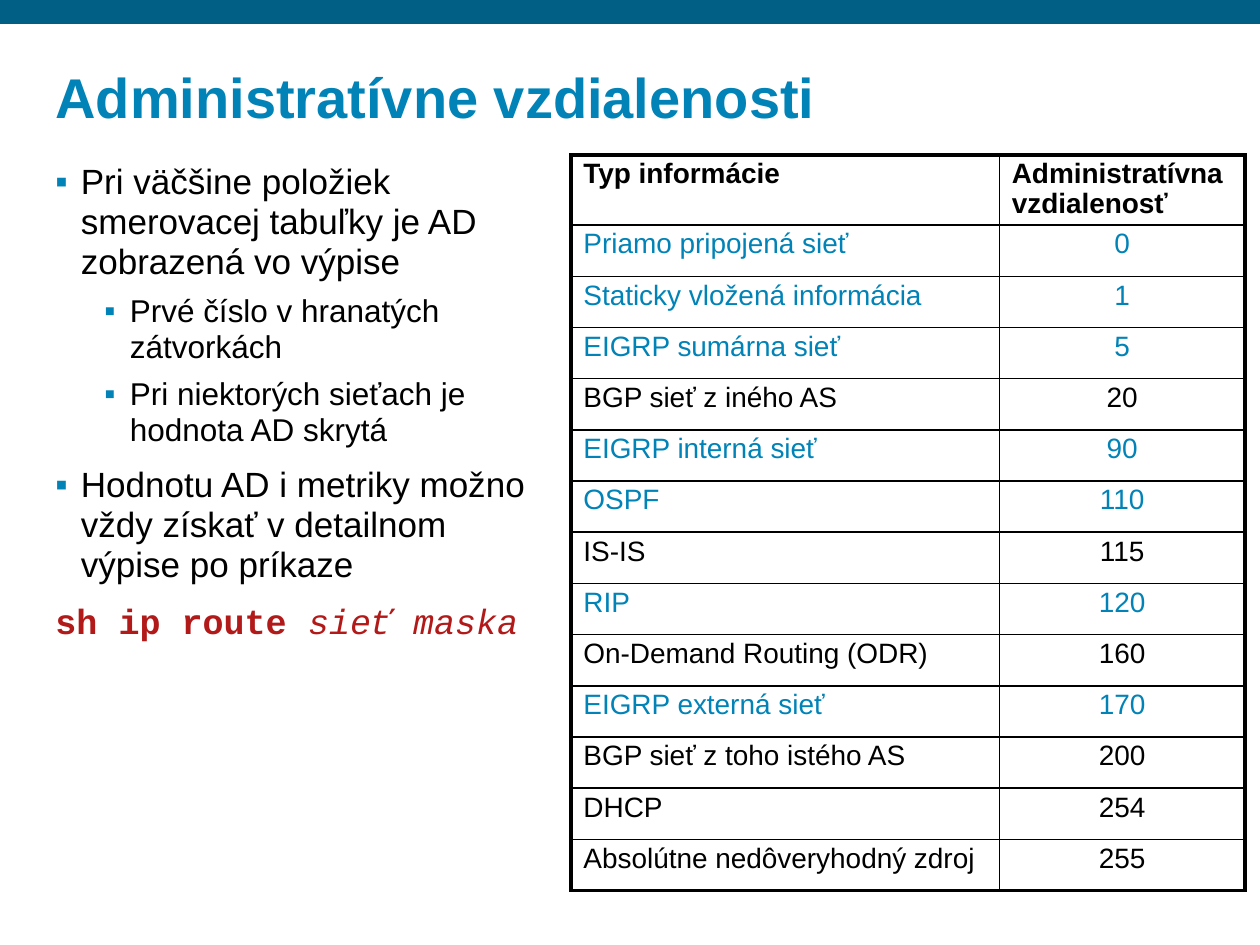
import pptx
import pptx.dml.color
import pptx.enum.shapes
import pptx.enum.text
import pptx.util
from lxml import etree
from pptx.oxml.ns import qn

Pt = pptx.util.Pt
ALIGN = pptx.enum.text.PP_ALIGN
ANCHOR = pptx.enum.text.MSO_ANCHOR

BLUE, DARK_BLUE, RED, BLACK = "0183B7", "015F85", "B21A1A", "000000"

# Name, distance, highlighted
DISTANCES = [
    ("Priamo pripojená sieť", 0, True),
    ("Staticky vložená informácia", 1, True),
    ("EIGRP sumárna sieť", 5, True),
    ("BGP sieť z iného AS", 20, False),
    ("EIGRP interná sieť", 90, True),
    ("OSPF", 110, True),
    ("IS-IS", 115, False),
    ("RIP", 120, True),
    ("On-Demand Routing (ODR)", 160, False),
    ("EIGRP externá sieť", 170, True),
    ("BGP sieť z toho istého AS", 200, False),
    ("DHCP", 254, False),
    ("Absolútne nedôveryhodný zdroj", 255, False),
]

# Level, text
BULLETS = [
    (0, "Pri väčšine položiek smerovacej tabuľky je AD zobrazená vo výpise"),
    (1, "Prvé číslo v hranatých zátvorkách"),
    (1, "Pri niektorých sieťach je hodnota AD skrytá"),
    (0, "Hodnotu AD i metriky možno vždy získať v detailnom výpise po príkaze"),
]


def color(value):
    return pptx.dml.color.RGBColor.from_string(value)


def add_text(para, text, size=20, font="Arial", fill=BLACK, bold=False, italic=False,
             align=ALIGN.LEFT, spacing=0.95, before=0):
    para.alignment = align
    para.line_spacing = spacing
    para.space_before = Pt(before)
    span = para.add_run()
    span.text = text
    span.font.size = Pt(size)
    span.font.name = font
    span.font.color.rgb = color(fill)
    span.font.bold = bold
    span.font.italic = italic


def set_bullet(para, margin, hanging):
    props = para._p.get_or_add_pPr()
    props.set("marL", str(Pt(margin)))
    props.set("indent", str(-Pt(hanging)))
    shade = etree.SubElement(props, qn("a:buClr"))
    etree.SubElement(shade, qn("a:srgbClr"), val=BLUE)
    etree.SubElement(props, qn("a:buFont"), typeface="Arial")
    etree.SubElement(props, qn("a:buChar"), char="▪")


def set_borders(cell, **widths):
    props = cell._tc.get_or_add_tcPr()
    for side in "LRTB":
        line = etree.SubElement(props, qn(f"a:ln{side}"), w=str(Pt(widths[side])))
        fill = etree.SubElement(line, qn("a:solidFill"))
        etree.SubElement(fill, qn("a:srgbClr"), val=BLACK)


class SlideBuilder:
    def __init__(self, deck):
        self.page = deck.slides.add_slide(deck.slide_layouts[5])
        self.insets = (6.5, 3)
        self.thick, self.thin = 2.25, 1

    def set_frame(self, frame, anchor):
        side, end = self.insets
        frame.margin_left = frame.margin_right = Pt(side)
        frame.margin_top = frame.margin_bottom = Pt(end)
        frame.word_wrap = True
        frame.auto_size = pptx.enum.text.MSO_AUTO_SIZE.NONE
        frame.vertical_anchor = anchor

    def bar(self, left, top, width, height):
        kind = pptx.enum.shapes.MSO_SHAPE.RECTANGLE
        box = self.page.shapes.add_shape(kind, Pt(left), Pt(top), Pt(width), Pt(height))
        box.shadow.inherit = False
        box.fill.solid()
        box.fill.fore_color.rgb = color(DARK_BLUE)
        box.line.fill.background()

    def title(self, text, left, top, width, height):
        box = self.page.shapes.title
        box.left, box.top, box.width, box.height = Pt(left), Pt(top), Pt(width), Pt(height)
        self.set_frame(box.text_frame, ANCHOR.BOTTOM)
        add_text(box.text_frame.paragraphs[0], text, size=32, fill=BLUE, bold=True,
                 spacing=0.9)

    def body(self, bullets, command, argument, left, top, width, height):
        box = self.page.shapes.add_textbox(Pt(left), Pt(top), Pt(width), Pt(height))
        frame = box.text_frame
        self.set_frame(frame, ANCHOR.TOP)
        for index, (level, text) in enumerate(bullets):
            para = frame.add_paragraph() if index else frame.paragraphs[0]
            para.level = level
            before = (6.3 if level else 10) if index else 0
            add_text(para, text, size=18 if level else 20, before=before)
            set_bullet(para, margin=42.5 if level else 14.5, hanging=14.5)
        # Command line
        para = frame.add_paragraph()
        add_text(para, command, font="Courier New", fill=RED, bold=True, before=10)
        add_text(para, argument, font="Courier New", fill=RED, italic=True, before=10)

    def table(self, header, records, left, top, widths, header_height, row_height):
        count = len(records) + 1
        height = header_height + row_height * len(records)
        grid = self.page.shapes.add_table(count, len(widths), Pt(left), Pt(top),
                                          Pt(sum(widths)), Pt(height)).table
        grid.first_row = grid.horz_banding = False
        for column, width in zip(grid.columns, widths):
            column.width = Pt(width)
        for index, row in enumerate(grid.rows):
            row.height = Pt(row_height if index else header_height)

        rows = [(*header, False)] + records
        for index, (name, distance, highlighted) in enumerate(rows):
            for place, text in enumerate((name, str(distance))):
                cell = grid.cell(index, place)
                cell.margin_left = cell.margin_right = Pt(7.2)
                cell.margin_top = cell.margin_bottom = Pt(3)
                cell.vertical_anchor = ANCHOR.TOP
                centered = index > 0 and place == 1
                add_text(cell.text_frame.paragraphs[0], text, size=16,
                         fill=BLUE if highlighted else BLACK, bold=index == 0,
                         align=ALIGN.CENTER if centered else ALIGN.LEFT)
                set_borders(cell,
                            L=self.thin if place else self.thick,
                            R=self.thick if place else self.thin,
                            T=self.thin if index else self.thick,
                            B=self.thick if index == count - 1 else self.thin)
                cell.fill.background()


def main():
    deck = pptx.Presentation()
    deck.slide_width, deck.slide_height = Pt(720), Pt(540)
    slide = SlideBuilder(deck)
    slide.bar(0, 0, 720, 13.7)
    slide.title("Administratívne vzdialenosti", 25.2, 23.8, 669, 54)
    slide.body(BULLETS, "sh ip route ", "sieť maska", 25.2, 90, 294.5, 426)
    slide.table(("Typ informácie", "Administratívna vzdialenosť"), DISTANCES,
                326.2, 88.6, widths=(244.8, 140.4), header_height=40, row_height=29.27)
    deck.save("out.pptx")


if __name__ == "__main__":
    main()
